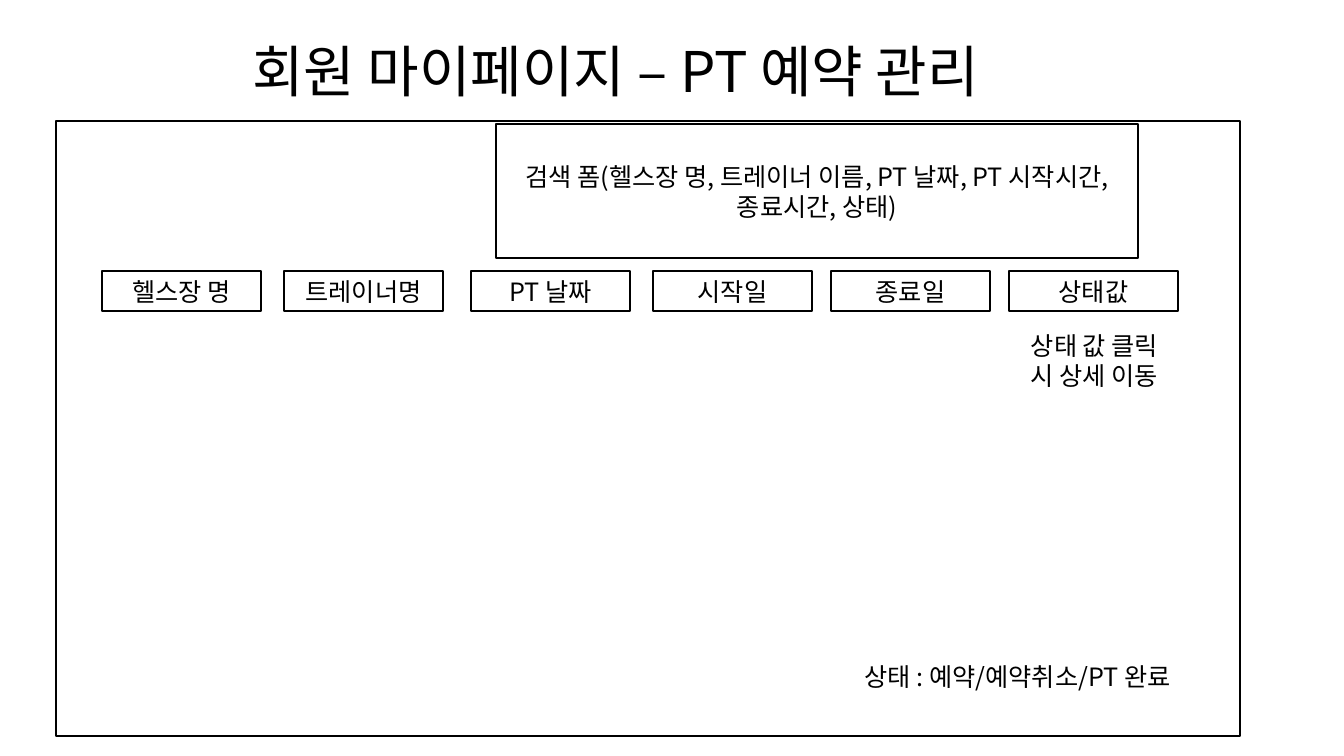
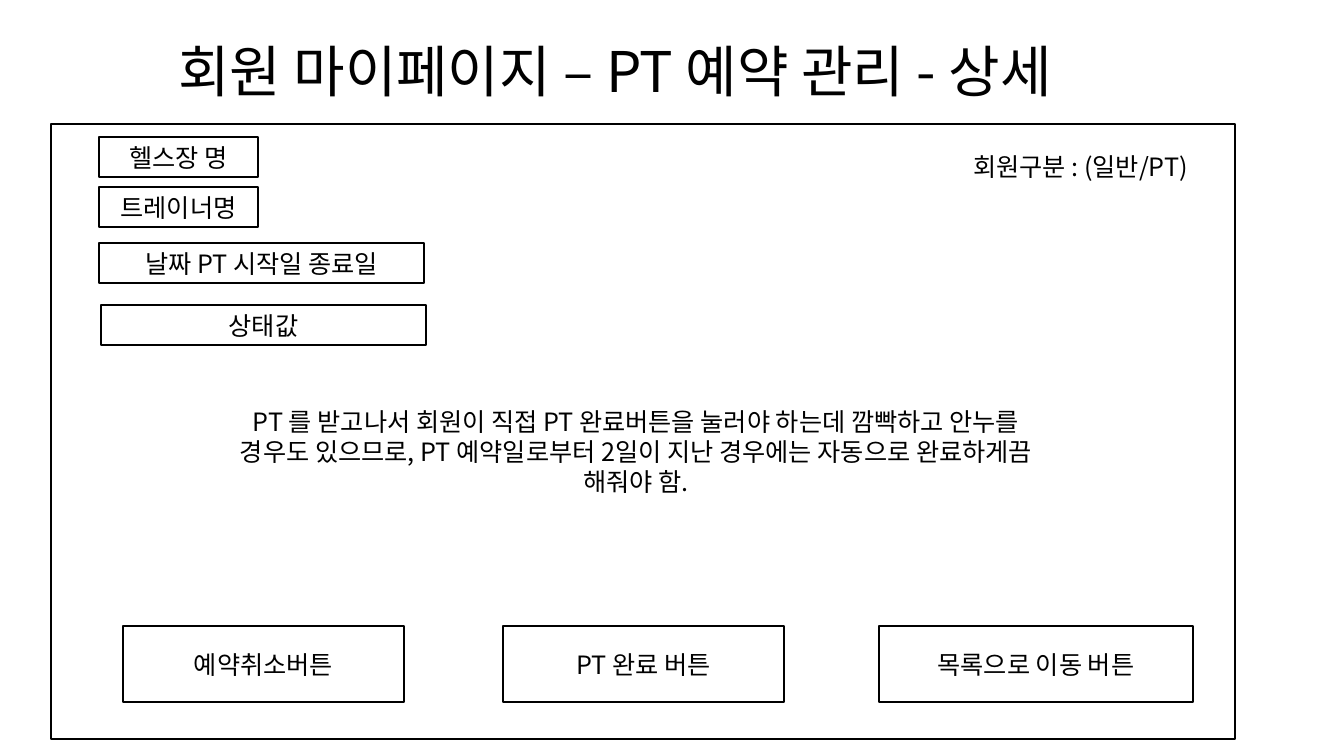
from pptx import Presentation
from pptx import util as u
from pptx.dml import color
from pptx.enum import shapes, text
from pptx.oxml import ns

# Shared style
EMU_PER_PIXEL = 914400 / 100.8
FONT = "Noto Sans CJK KR"
BLACK = "000000"
WHITE = "FFFFFF"
TITLE_SIZE = 40
BODY_SIZE = 18
FIELD_HEIGHT = 40
FIELD_WIDTH = 159
WIDE_FIELD_WIDTH = 325


def px(value):
    return u.Emu(round(value * EMU_PER_PIXEL))


def rgb(value):
    return color.RGBColor.from_string(value)


def set_text(shape, content, size, anchor):
    frame = shape.text_frame
    frame.text = content
    frame.vertical_anchor = anchor
    paragraph = frame.paragraphs[0]
    paragraph.alignment = text.PP_ALIGN.CENTER
    for run in paragraph.runs:
        run.font.size = u.Pt(size)
        run.font.name = FONT
        run.font.color.rgb = rgb(BLACK)
        # Korean glyphs take the East Asian typeface
        east_asian = run.font._element.makeelement(ns.qn("a:ea"), {"typeface": FONT})
        run.font._element.find(ns.qn("a:latin")).addnext(east_asian)


def add_box(slide, left, top, width, height, content=""):
    box = slide.shapes.add_shape(
        shapes.MSO_SHAPE.RECTANGLE, px(left), px(top), px(width), px(height))
    box.shadow.inherit = False
    box.fill.solid()
    box.fill.fore_color.rgb = rgb(WHITE)
    box.line.color.rgb = rgb(BLACK)
    box.line.width = u.Pt(1)
    if content:
        set_text(box, content, BODY_SIZE, text.MSO_ANCHOR.MIDDLE)


def add_label(slide, left, top, width, height, content, size=BODY_SIZE, wrap=True):
    label = slide.shapes.add_textbox(px(left), px(top), px(width), px(height))
    set_text(label, content, size, text.MSO_ANCHOR.TOP)
    label.text_frame.word_wrap = wrap


def add_page(presentation, title, title_left, title_width, frame_left, frame_top):
    slide = presentation.slides.add_slide(presentation.slide_layouts[6])
    add_label(slide, title_left, 32, title_width, 78, title, TITLE_SIZE, wrap=False)
    add_box(slide, frame_left, frame_top, 1184, 615)
    return slide


def build_list(presentation):
    slide = add_page(presentation, "회원 마이페이지 – PT 예약 관리", 197, 837, 56, 121)
    add_box(slide, 496, 124, 642, 134,
            "검색 폼(헬스장 명, 트레이너 이름, PT 날짜, PT 시작시간, 종료시간, 상태)")

    # Column headings
    columns = [
        (102, FIELD_WIDTH, "헬스장 명"),
        (284, FIELD_WIDTH, "트레이너명"),
        (471, FIELD_WIDTH, "PT 날짜"),
        (653, FIELD_WIDTH, "시작일"),
        (831, FIELD_WIDTH, "종료일"),
        (1009, 169, "상태값"),
    ]
    for left, width, heading in columns:
        add_box(slide, left, 271, width, FIELD_HEIGHT, heading)

    # Status notes
    add_label(slide, 1010, 325, 169, 71, "상태 값 클릭 시 상세 이동")
    add_label(slide, 816, 656, 403, 40, "상태 : 예약/예약취소/PT 완료")


def build_detail(presentation):
    slide = add_page(presentation, "회원 마이페이지 – PT 예약 관리 - 상세", 110, 1010, 51, 124)

    # Reservation fields
    fields = [
        (99, 137, FIELD_WIDTH, "헬스장 명"),
        (99, 187, FIELD_WIDTH, "트레이너명"),
        (99, 243, WIDE_FIELD_WIDTH, "날짜 PT 시작일 종료일"),
        (101, 305, WIDE_FIELD_WIDTH, "상태값"),
    ]
    for left, top, width, name in fields:
        add_box(slide, left, top, width, FIELD_HEIGHT, name)

    # Member type and completion rule
    add_label(slide, 879, 146, 403, 40, "회원구분 : (일반/PT)")
    add_label(slide, 224, 401, 824, 102,
              "PT 를 받고나서 회원이 직접 PT 완료버튼을 눌러야 하는데 깜빡하고 안누를 "
              "경우도 있으므로, PT 예약일로부터 2일이 지난 경우에는 자동으로 "
              "완료하게끔 해줘야 함.")

    # Buttons
    buttons = [
        (123, 281, "예약취소버튼"),
        (503, 281, "PT 완료 버튼"),
        (879, 314, "목록으로 이동 버튼"),
    ]
    for left, width, caption in buttons:
        add_box(slide, left, 626, width, 76, caption)


def main():
    presentation = Presentation()
    presentation.slide_width = px(1344)
    presentation.slide_height = px(756)
    build_list(presentation)
    build_detail(presentation)
    presentation.save("out.pptx")


main()
